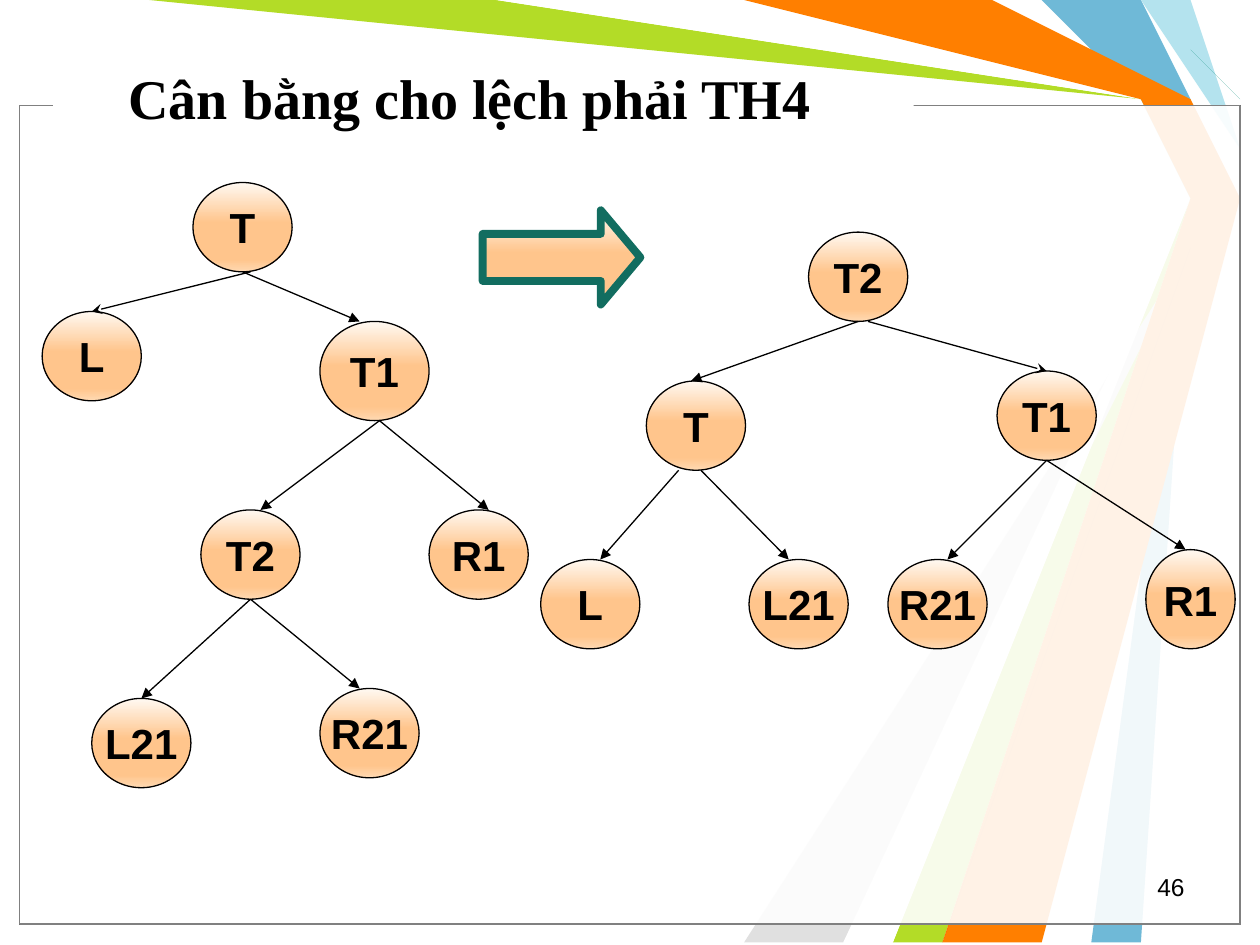
from dataclasses import dataclass

from lxml.etree import SubElement
from pptx import Presentation
from pptx.dml.color import RGBColor
from pptx.enum.shapes import MSO_CONNECTOR, MSO_SHAPE
from pptx.enum.text import MSO_ANCHOR, PP_ALIGN
from pptx.oxml.ns import qn
from pptx.util import Cm, Pt

COLORS = {
    "black": "000000", "white": "FFFFFF", "frame": "808080",
    "blue": "6FB9D7", "green": "B3DC27", "silver": "E0E0E0", "pale": "B4E3EE",
    "teal": "189180", "orange": "FF7F00", "red": "F93D17", "arrow": "126D60",
}
PEACH_STOPS = [(0, "FFF9F2"), (45, "FFC58C"), (86, "FFC58C"), (100, "FFD9B2")]


@dataclass
class Ribbon:
    color: str
    points: list[tuple[float, float]]


@dataclass
class Node:
    text: str
    x: float
    y: float
    w: float = 2.0
    h: float = 1.8

    @property
    def mid(self) -> float:
        return self.x + self.w / 2


@dataclass
class Edge:
    """Parent's bottom to child's top; shifts move each end sideways from the middle."""
    parent: str
    child: str
    start_shift: float = 0
    end_shift: float = 0
    head: str = "triangle"


RIBBONS = [
    Ribbon("blue", [(22.66, 0), (23.6, 1.96), (24.33, 4.24), (23.14, 19.02),
                    (21.74, 19.02), (24.13, 4.24), (23.29, 1.91), (21.29, 0)]),
    Ribbon("green", [(2.97, 0), (9.73, 0), (23.22, 1.98), (23.93, 4.29),
                     (18.85, 19.05), (17.58, 19.05), (23.75, 4.39), (22.89, 2.31)]),
    Ribbon("silver", [(16.94, 19.05), (23.55, 4.6), (15.24, 19.05)]),
    Ribbon("white", [(9.53, 0), (23.11, 2.08), (23.67, 4.11), (17.15, 19.05),
                     (17.78, 19.05), (23.9, 4.01), (23.29, 1.91), (15.24, 0)]),
    Ribbon("pale", [(23.5, 0), (23.29, 0.43), (24.84, 3.05), (25.4, 3.18),
                    (25.4, 2.54), (23.5, 0.43), (23.67, 0)]),
    Ribbon("teal", [(25.4, 2.11), (23.93, 0.64), (25.4, 1.7)]),
    Ribbon("orange", [(15.44, 0), (20.12, 0), (23.62, 1.78), (24.54, 4.29),
                      (21.16, 19.05), (18.62, 19.05), (23.93, 4.01), (23.29, 1.91)]),
    Ribbon("red", [(18.59, 19.05), (23.67, 4.65), (19.02, 19.05)]),
]
TREE_BEFORE = (
    [Node("T", 3.89, 3.68), Node("T1", 6.45, 6.48, 2.2, 2.0), Node("L", 0.85, 6.28),
     Node("R1", 8.65, 10.28), Node("T2", 4.05, 10.28),
     Node("R21", 6.45, 13.88), Node("L21", 1.85, 14.08)],
    [Edge("T", "L", 0.16, 0, "stealth"), Edge("T", "T1", 0, -0.3),
     Edge("T1", "R1", 0.1, 0.2), Edge("T1", "T2", 0.1, 0.2),
     Edge("T2", "L21"), Edge("T2", "R21", 0, -0.2)],
)
TREE_AFTER = (
    [Node("T1", 20.1, 7.48), Node("R1", 23.1, 11.08, 1.8, 2.0), Node("T2", 16.3, 4.68),
     Node("R21", 17.9, 11.28), Node("T", 13.03, 7.68),
     Node("L", 10.9, 11.28), Node("L21", 15.1, 11.28)],
    [Edge("T2", "T1", 0.2, 0, "stealth"), Edge("T1", "R1", 0, -0.1),
     Edge("T1", "R21", 0, 0.2), Edge("T2", "T", 0, -0.1),
     Edge("T", "L", -0.35, 0.2), Edge("T", "L21", 0.1, -0.2)],
)


def rgb(name: str) -> RGBColor:
    return RGBColor.from_string(COLORS[name])


def write(sp, text: str, *, size: float, font: str = "Arial", bold: bool = False,
          align=PP_ALIGN.LEFT, anchor=MSO_ANCHOR.TOP, wrap: bool = True) -> None:
    tf = sp.text_frame
    tf.word_wrap = wrap
    tf.vertical_anchor = anchor
    p = tf.paragraphs[0]
    p.alignment = align
    r = p.add_run()
    r.text = text
    r.font.name, r.font.size, r.font.bold = font, Pt(size), bold
    r.font.color.rgb = rgb("black")


def style(sp, fill: str | None = None, line: str | None = None, width: float = 0.75) -> None:
    sp.shadow.inherit = False
    if fill:
        sp.fill.solid()
        sp.fill.fore_color.rgb = rgb(fill)
    if line:
        sp.line.color.rgb = rgb(line)
        sp.line.width = Pt(width)
    else:
        sp.line.fill.background()


def fill_peach(sp) -> None:
    sp.fill.gradient()
    sp.fill.gradient_angle = 270
    stops = sp._element.spPr.find(qn("a:gradFill")).find(qn("a:gsLst"))
    for old in list(stops):
        stops.remove(old)
    for pos, color in PEACH_STOPS:
        gs = SubElement(stops, qn("a:gs"), pos=str(pos * 1000))
        SubElement(gs, qn("a:srgbClr"), val=color)


def add_preset(s, kind, x: float, y: float, w: float, h: float):
    return s.shapes.add_shape(kind, Cm(x), Cm(y), Cm(w), Cm(h))


def add_ribbon(s, ribbon: Ribbon) -> None:
    first, *rest = ribbon.points
    fb = s.shapes.build_freeform(*first, scale=Cm(1))
    fb.add_line_segments(rest, close=True)
    style(fb.convert_to_shape(), ribbon.color)


def add_panel(s, line: str) -> None:
    sp = add_preset(s, MSO_SHAPE.RECTANGLE, 0.4, 2.13, 24.6, 16.5)
    style(sp, "white", line)
    color = sp._element.spPr.find(qn("a:solidFill"))[0]
    SubElement(color, qn("a:alpha"), val="69000")


def add_node(s, node: Node) -> None:
    sp = add_preset(s, MSO_SHAPE.OVAL, node.x, node.y, node.w, node.h)
    style(sp, line="black")
    fill_peach(sp)
    write(sp, node.text, size=24, bold=True, align=PP_ALIGN.CENTER,
          anchor=MSO_ANCHOR.MIDDLE, wrap=False)


def add_edge(s, edge: Edge, nodes: dict[str, Node]) -> None:
    a, b = nodes[edge.parent], nodes[edge.child]
    cxn = s.shapes.add_connector(
        MSO_CONNECTOR.STRAIGHT, Cm(a.mid + edge.start_shift), Cm(a.y + a.h),
        Cm(b.mid + edge.end_shift), Cm(b.y))
    cxn.line.color.rgb = rgb("black")
    cxn.line.width = Pt(0.75)
    SubElement(cxn.line._get_or_add_ln(), qn("a:tailEnd"), type=edge.head)
    SubElement(cxn._element.spPr, qn("a:effectLst"))


def add_tree(s, nodes: list[Node], edges: list[Edge]) -> None:
    for node in nodes:
        add_node(s, node)
    by_name = {node.text: node for node in nodes}
    for edge in edges:
        add_edge(s, edge, by_name)


def main() -> None:
    prs = Presentation()
    prs.slide_width, prs.slide_height = Cm(25.4), Cm(19.05)
    s = prs.slides.add_slide(prs.slide_layouts[6])

    for ribbon in RIBBONS:
        add_ribbon(s, ribbon)
    for line in ("black", "frame"):
        add_panel(s, line)
    style(add_preset(s, MSO_SHAPE.RECTANGLE, 1.07, 1.88, 17.35, 0.43), "white")

    title = s.shapes.add_textbox(Cm(2.34), Cm(1.07), Cm(17.5), Cm(1.78))
    write(title, "Cân bằng cho lệch phải TH4", size=32, font="Times New Roman",
          bold=True, anchor=MSO_ANCHOR.MIDDLE)
    number = s.shapes.add_textbox(Cm(18.21), Cm(17.45), Cm(5.92), Cm(0.84))
    write(number, "46", size=14, align=PP_ALIGN.RIGHT)

    add_tree(s, *TREE_BEFORE)
    add_tree(s, *TREE_AFTER)

    arrow = add_preset(s, MSO_SHAPE.RIGHT_ARROW, 9.73, 4.24, 3.18, 1.9)
    arrow.adjustments[0], arrow.adjustments[1] = 0.5, 0.42
    style(arrow, line="arrow", width=4.5)
    fill_peach(arrow)

    prs.save("out.pptx")


if __name__ == "__main__":
    main()
